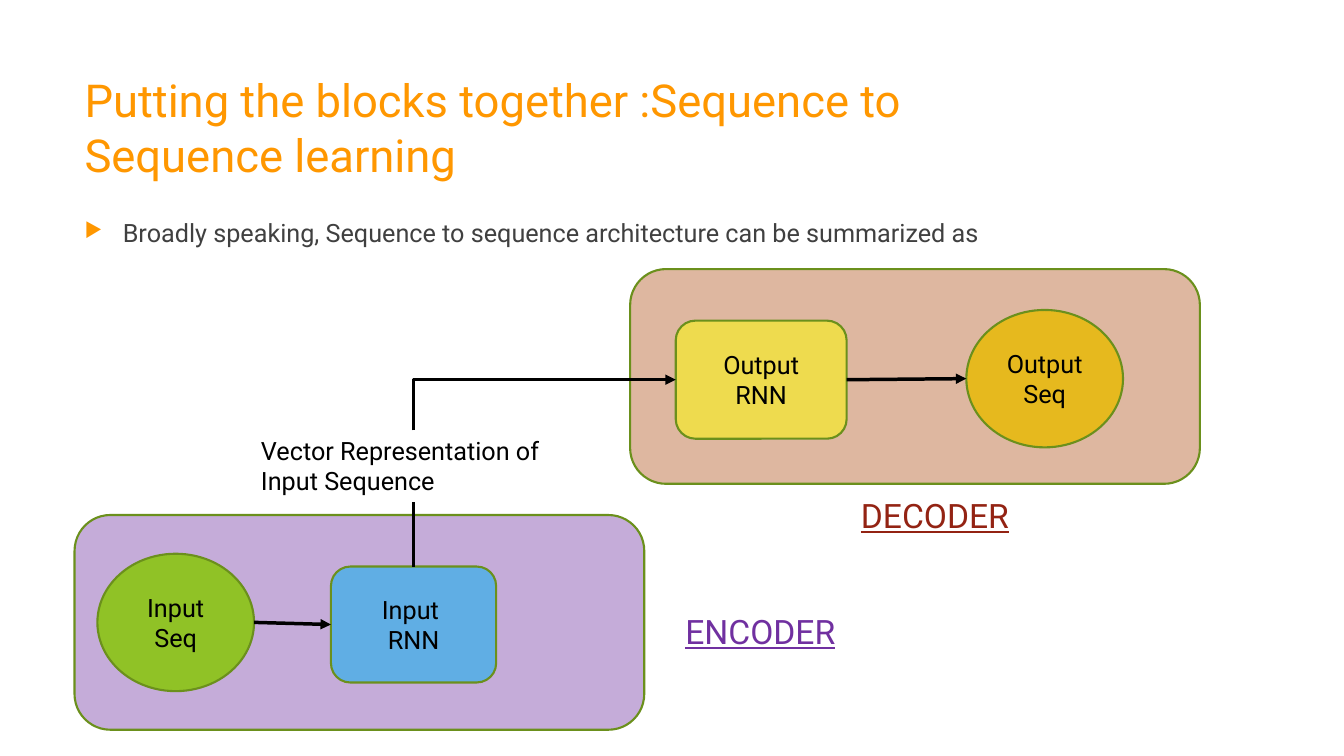
from dataclasses import dataclass

from lxml import etree
from pptx import Presentation
from pptx.dml.color import RGBColor
from pptx.enum.shapes import MSO_CONNECTOR, MSO_SHAPE
from pptx.enum.text import MSO_ANCHOR, PP_ALIGN
from pptx.oxml.ns import qn
from pptx.util import Inches, Pt

ROUNDED, OVAL = MSO_SHAPE.ROUNDED_RECTANGLE, MSO_SHAPE.OVAL
STRAIGHT, ELBOW = MSO_CONNECTOR.STRAIGHT, MSO_CONNECTOR.ELBOW
CENTER, LEFT = PP_ALIGN.CENTER, PP_ALIGN.LEFT
TOP, MIDDLE = MSO_ANCHOR.TOP, MSO_ANCHOR.MIDDLE
SIDE_TOP, SIDE_LEFT, SIDE_RIGHT = 0, 1, 3

BLACK = RGBColor(0x00, 0x00, 0x00)
GRAY = RGBColor(0x40, 0x40, 0x40)
ORANGE = RGBColor(0xFF, 0x97, 0x00)
OUTLINE = RGBColor(0x6B, 0x90, 0x1C)
BROWN = RGBColor(0xAD, 0x4C, 0x12)
PURPLE = RGBColor(0x70, 0x30, 0xA0)
BLUE = RGBColor(0x00, 0xB0, 0xF0)
GREEN = RGBColor(0x90, 0xC2, 0x26)
YELLOW = RGBColor(0xFF, 0xFF, 0x00)
GOLD = RGBColor(0xE6, 0xB9, 0x1E)
RED = RGBColor(0x93, 0x23, 0x13)

FONT = "Roboto"


@dataclass
class Box:
    left: int
    top: int
    width: int
    height: int

    def inner(self, left, top, width, height):
        """Return an inner box given in percent of this one."""
        return Box(round(self.left + self.width * left / 100),
                   round(self.top + self.height * top / 100),
                   round(self.width * width / 100),
                   round(self.height * height / 100))

    def place(self):
        return self.left, self.top, self.width, self.height


def write(frame, lines, size, color, align=LEFT, anchor=TOP, underline=None):
    frame.word_wrap = True
    frame.vertical_anchor = anchor
    for index, line in enumerate(lines):
        para = frame.paragraphs[0] if index == 0 else frame.add_paragraph()
        para.alignment = align
        span = para.add_run()
        span.text = line
        span.font.color.rgb = color
        looks = {"name": FONT, "size": Pt(size), "underline": underline}
        for name, value in looks.items():
            setattr(span.font, name, value)


def add_text(page, box, text, size, color, underline=None):
    frame = page.shapes.add_textbox(*box.place()).text_frame
    write(frame, [text], size, color, underline=underline)
    return frame


def add_bullet(para):
    properties = para._p.get_or_add_pPr()
    indent = Inches(0.38)
    properties.set("marL", str(indent))
    properties.set("indent", str(-indent))
    color = etree.SubElement(properties, qn("a:buClr"))
    etree.SubElement(color, qn("a:srgbClr"), val=str(ORANGE))
    etree.SubElement(properties, qn("a:buSzPct"), val="80000")
    etree.SubElement(properties, qn("a:buChar"), char="▶")


def add_block(page, kind, box, fill, opacity=100, lines=()):
    shape = page.shapes.add_shape(kind, *box.place())
    shape.shadow.inherit = False
    shape.fill.solid()
    shape.fill.fore_color.rgb = fill
    if opacity < 100:
        color = shape._element.spPr.find(qn("a:solidFill")).find(qn("a:srgbClr"))
        etree.SubElement(color, qn("a:alpha"), val=str(opacity * 1000))
    shape.line.color.rgb = OUTLINE
    shape.line.width = Pt(1.5)
    write(shape.text_frame, lines, 18, BLACK, CENTER, MIDDLE)
    return shape


def add_link(page, start, end, arrow=True, kind=STRAIGHT):
    link = page.shapes.add_connector(kind, *start, *end)
    link.line.color.rgb = BLACK
    link.line.width = Pt(2.5)
    properties = link._element.spPr
    if arrow:
        etree.SubElement(properties.find(qn("a:ln")), qn("a:tailEnd"),
                         type="triangle")
    etree.SubElement(properties, qn("a:effectLst"))
    return link


def add_corner_link(page, start, end):
    """Draw an arrow that rises from start and then runs right to end."""
    middle_x, middle_y = (start[0] + end[0]) // 2, (start[1] + end[1]) // 2
    half_run, half_rise = (end[0] - start[0]) // 2, (start[1] - end[1]) // 2
    link = add_link(page, (middle_x + half_rise, middle_y + half_run),
                    (middle_x - half_rise, middle_y - half_run), kind=ELBOW)
    properties = link._element.spPr
    properties.find(qn("a:xfrm")).set("rot", "5400000")
    properties.find(qn("a:prstGeom")).set("prst", "bentConnector2")


def right_middle(shape):
    return shape.left + shape.width, shape.top + shape.height // 2


def left_middle(shape):
    return shape.left, shape.top + shape.height // 2


def draw_heading(page, box):
    add_text(page, box.inner(0, 0, 100, 25.35),
             "Putting the blocks together :Sequence to Sequence learning",
             32.4, ORANGE)
    body = add_text(page, box.inner(0, 25.35, 100, 74.65),
                    "Broadly speaking, Sequence to sequence architecture "
                    "can be summarized as", 18, GRAY)
    add_bullet(body.paragraphs[0])


def draw_encoder(page, box):
    add_block(page, ROUNDED, box, PURPLE, 40)
    network = add_block(page, ROUNDED, box.inner(45, 24, 29, 54), BLUE, 51,
                        ["Input ", "RNN"])
    sequence = add_block(page, OVAL, box.inner(4, 18, 27.5, 64), GREEN,
                         lines=["Input", "Seq"])
    link = add_link(page, right_middle(sequence), left_middle(network))
    link.end_connect(network, SIDE_LEFT)
    return network


def draw_decoder(page, box):
    add_block(page, ROUNDED, box, BROWN, 40)
    network = add_block(page, ROUNDED, box.inner(8, 24, 30, 55), YELLOW, 51,
                        ["Output", " RNN "])
    sequence = add_block(page, OVAL, box.inner(59, 19, 27.5, 64), GOLD,
                         lines=["Output", "Seq"])
    link = add_link(page, right_middle(network), left_middle(sequence))
    link.begin_connect(network, SIDE_RIGHT)
    return network


def draw_vector(page, box, source, target):
    """Lead the input network through the vector label to the output one."""
    add_text(page, box, "Vector Representation of Input Sequence", 18, BLACK)
    middle = source.left + source.width // 2
    stem = add_link(page, (middle, source.top),
                    (middle, box.top + box.height), arrow=False)
    stem.begin_connect(source, SIDE_TOP)
    add_corner_link(page, (middle, box.top), left_middle(target))


def main():
    deck = Presentation()
    deck.slide_width, deck.slide_height = Inches(13.33), Inches(7.5)
    page = deck.slides.add_slide(deck.slide_layouts[6])
    whole = Box(0, 0, deck.slide_width, deck.slide_height)

    draw_heading(page, whole.inner(5.55, 8.93, 70.52, 75.73))
    output_network = draw_decoder(page, whole.inner(46.89, 35.6, 42.39, 28.4))
    input_network = draw_encoder(page, whole.inner(5.55, 68.13, 42.39, 28.4))
    draw_vector(page, whole.inner(18.68, 56.93, 24.08, 9.47),
                input_network, output_network)
    for name, color, left, top in (("ENCODER", PURPLE, 50.26, 80.13),
                                   ("DECODER", RED, 63.32, 64.8)):
        add_text(page, whole.inner(left, top, 21.53, 6.67), name, 24, color,
                 underline=True)
    deck.save("out.pptx")


if __name__ == "__main__":
    main()
